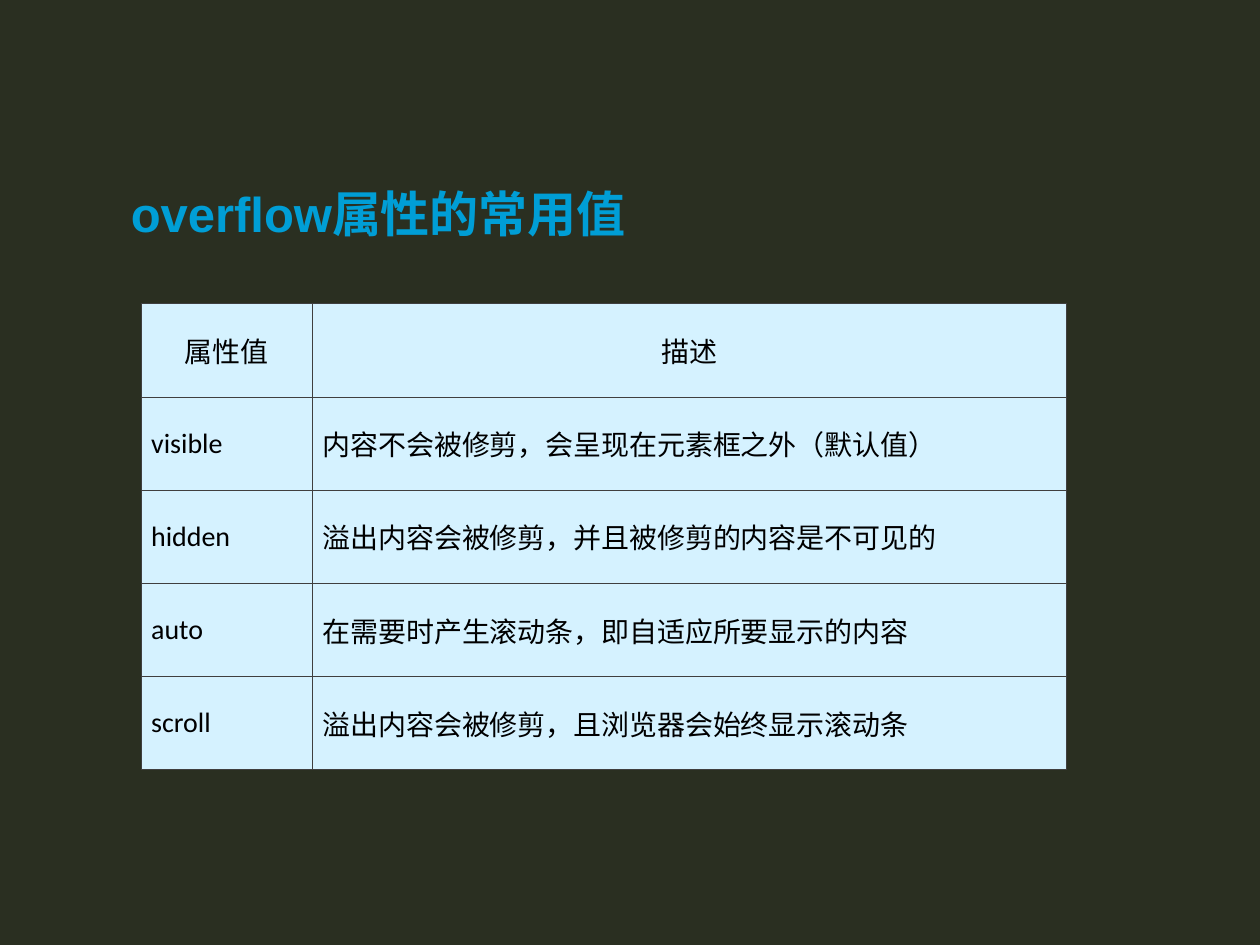
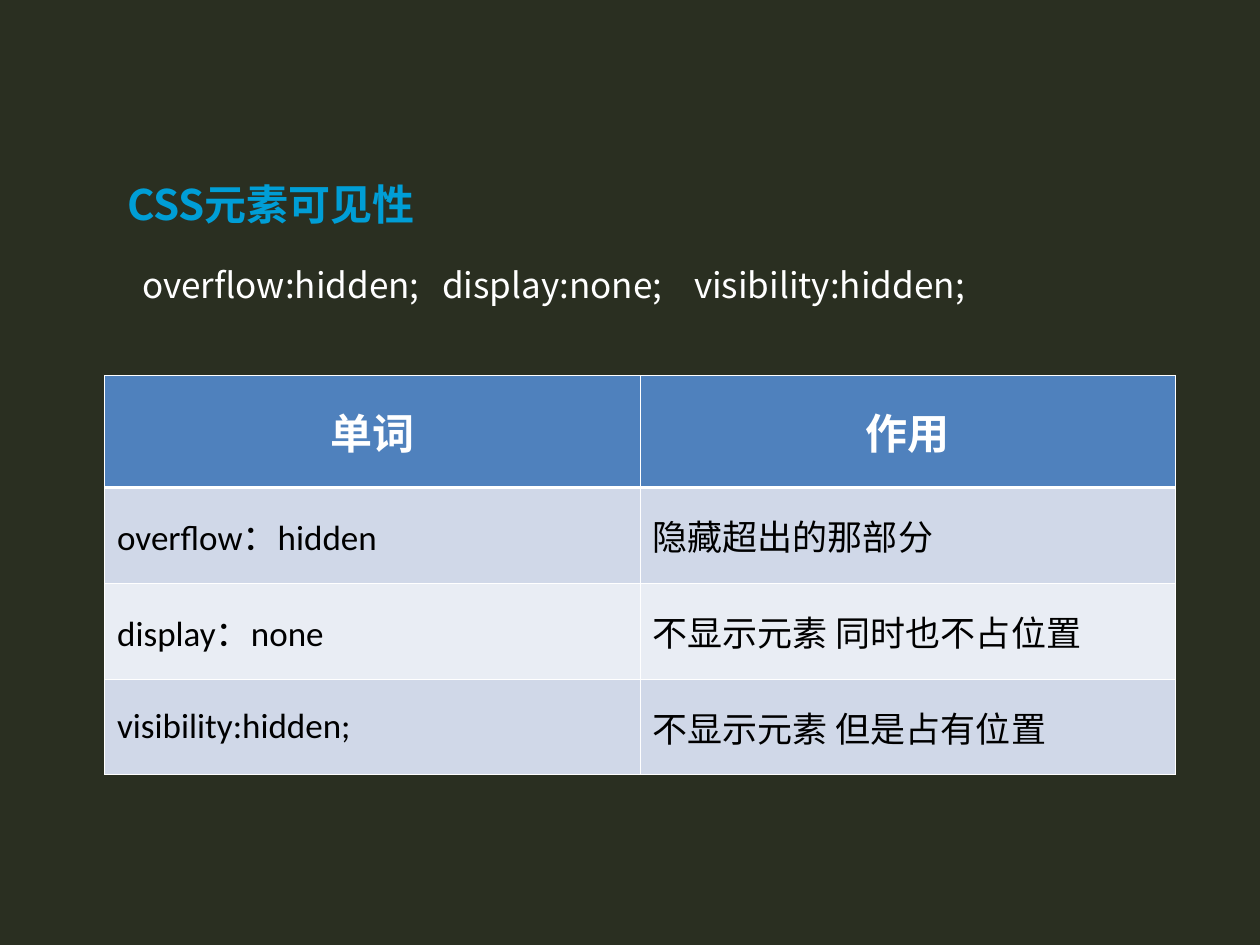
from dataclasses import dataclass

from lxml.etree import SubElement
from pptx import Presentation
from pptx.dml.color import RGBColor
from pptx.enum.text import MSO_ANCHOR, PP_ALIGN
from pptx.oxml.ns import qn
from pptx.util import Inches, Pt

# Shared look
BACKGROUND = "2A2F21"
TITLE_COLOR = "009ED6"
WHITE = "FFFFFF"
BLACK = "000000"
CJK_FONT = "Noto Sans CJK SC"
THIN, THICK = 0.45, 1.47


@dataclass
class TextStyle:
    size: float
    font: str
    color: str
    bold: bool = False


@dataclass
class TableStyle:
    header: TextStyle
    body: TextStyle
    header_fill: str
    body_fills: list[str]
    border: str
    header_rule: float
    side_margin: float


@dataclass
class TableSpec:
    left: float
    top: float
    columns: list[float]
    header_height: float
    row_height: float
    rows: list[tuple[str, str]]
    style: TableStyle


def rgb(color: str) -> RGBColor:
    return RGBColor.from_string(color)


def add_text(paragraph, text: str, style: TextStyle) -> None:
    run = paragraph.add_run()
    run.text = text
    formats = {"size": Pt(style.size), "name": style.font, "bold": style.bold}
    for name, value in formats.items():
        setattr(run.font, name, value)
    run.font.color.rgb = rgb(style.color)
    SubElement(run.font._element, qn("a:ea"), typeface=CJK_FONT)


def add_text_box(slide, left: float, top: float, width: float, height: float, wrap: bool):
    shape = slide.shapes.add_textbox(Inches(left), Inches(top), Inches(width), Inches(height))
    shape.text_frame.word_wrap = wrap
    return shape.text_frame


def set_first_line(paragraph, indent: float, tabs: list[float]) -> None:
    """Indent the first line and place left tab stops."""
    properties = paragraph._p.get_or_add_pPr()
    properties.set("marL", "0")
    properties.set("indent", str(Inches(indent)))
    tab_list = SubElement(properties, qn("a:tabLst"))
    for position in tabs:
        SubElement(tab_list, qn("a:tab"), pos=str(Inches(position)), algn="l")


def set_borders(cell, color: str, widths: dict[str, float]) -> None:
    properties = cell._tc.get_or_add_tcPr()
    for index, (side, width) in enumerate(widths.items()):
        line = SubElement(properties, qn(f"a:ln{side}"), w=str(Pt(width)))
        fill = SubElement(line, qn("a:solidFill"))
        SubElement(fill, qn("a:srgbClr"), val=color)
        properties.insert(index, line)


def add_table(slide, spec: TableSpec) -> None:
    style = spec.style
    heights = [spec.header_height] + [spec.row_height] * (len(spec.rows) - 1)
    table = slide.shapes.add_table(
        len(heights), len(spec.columns), Inches(spec.left), Inches(spec.top),
        Inches(sum(spec.columns)), Inches(sum(heights))).table
    table.horz_banding = False
    for column, width in zip(table.columns, spec.columns):
        column.width = Inches(width)
    for row_index, (row, height, texts) in enumerate(zip(table.rows, heights, spec.rows)):
        row.height = Inches(height)
        is_header = row_index == 0
        fill = (style.header_fill if is_header
                else style.body_fills[(row_index - 1) % len(style.body_fills)])
        widths = {"L": THIN, "R": THIN,
                  "T": style.header_rule if row_index == 1 else THIN,
                  "B": style.header_rule if is_header else THIN}
        for cell, text in zip(row.cells, texts):
            cell.vertical_anchor = MSO_ANCHOR.MIDDLE
            cell.margin_left = cell.margin_right = Inches(style.side_margin)
            cell.fill.solid()
            cell.fill.fore_color.rgb = rgb(fill)
            set_borders(cell, style.border, widths)
            paragraph = cell.text_frame.paragraphs[0]
            paragraph.alignment = PP_ALIGN.CENTER if is_header else PP_ALIGN.LEFT
            add_text(paragraph, text, style.header if is_header else style.body)


def add_slide(presentation):
    slide = presentation.slides.add_slide(presentation.slide_layouts[6])
    slide.background.fill.solid()
    slide.background.fill.fore_color.rgb = rgb(BACKGROUND)
    return slide


def build_overflow_values(presentation) -> None:
    slide = add_slide(presentation)
    title = add_text_box(slide, 0.94, 1.41, 4.22, 0.57, wrap=False)
    add_text(title.paragraphs[0], "overflow属性的常用值",
             TextStyle(28, "Arial", TITLE_COLOR, bold=True))

    cell_text = TextStyle(16, "Calibri", BLACK)
    style = TableStyle(cell_text, cell_text, "D5F2FF", ["D5F2FF"], "3F3F3F", THIN, 0.08)
    rows = [
        ("属性值", "描述"),
        ("visible", "内容不会被修剪，会呈现在元素框之外（默认值）"),
        ("hidden", "溢出内容会被修剪，并且被修剪的内容是不可见的"),
        ("auto", "在需要时产生滚动条，即自适应所要显示的内容"),
        ("scroll", "溢出内容会被修剪，且浏览器会始终显示滚动条"),
    ]
    add_table(slide, TableSpec(1.12, 2.41, [1.36, 5.98], 0.74, 0.74, rows, style))


def build_visibility(presentation) -> None:
    slide = add_slide(presentation)
    frame = add_text_box(slide, 0.91, 1.17, 9.09, 5.48, wrap=True)
    title = frame.paragraphs[0]
    title.line_spacing = 1.5
    add_text(title, "CSS元素可见性", TextStyle(24, CJK_FONT, TITLE_COLOR, bold=True))

    declarations = frame.add_paragraph()
    declarations.line_spacing = 1.5
    declarations.space_before = Pt(7.5)
    set_first_line(declarations, 0.12, [2.7, 4.75])
    add_text(declarations, "overflow:hidden;\tdisplay:none;\tvisibility:hidden;",
             TextStyle(20, CJK_FONT, WHITE))

    style = TableStyle(
        TextStyle(24, "Calibri", WHITE, bold=True), TextStyle(20, "Calibri", BLACK),
        "4F81BD", ["D0D8E8", "E9EDF4"], WHITE, THICK, 0.1)
    rows = [
        ("单词", "作用"),
        ("overflow：hidden", "隐藏超出的那部分"),
        ("display：none", "不显示元素 同时也不占位置"),
        ("visibility:hidden;", "不显示元素 但是占有位置"),
    ]
    add_table(slide, TableSpec(0.83, 2.98, [4.25, 4.25], 0.89, 0.76, rows, style))


def main() -> None:
    presentation = Presentation()
    presentation.slide_width = Inches(10)
    presentation.slide_height = Inches(7.5)
    build_overflow_values(presentation)
    build_visibility(presentation)
    presentation.save("out.pptx")


if __name__ == "__main__":
    main()
